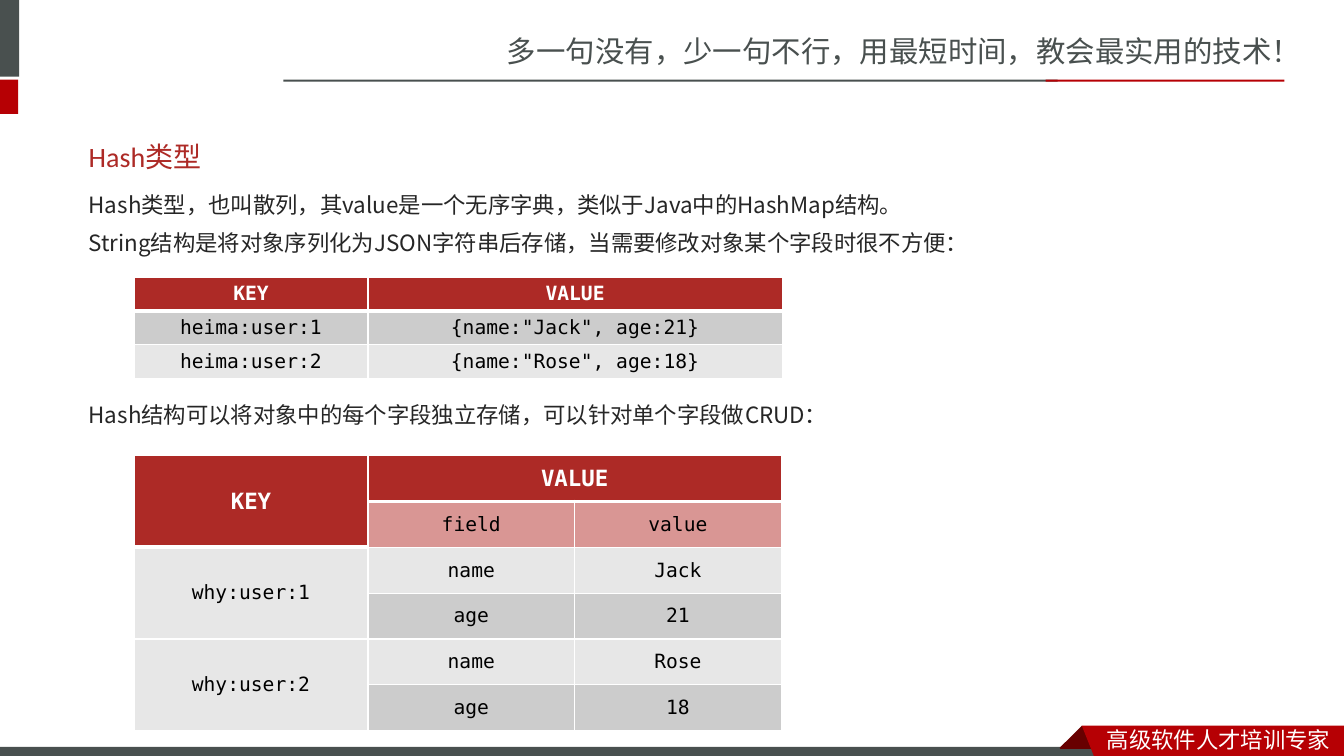
import pptx
import pptx.util
import pptx.dml.color
import pptx.enum.shapes
import pptx.enum.text
import pptx.oxml.ns
from lxml import etree

Inches, Pt = pptx.util.Inches, pptx.util.Pt
RGB = pptx.dml.color.RGBColor.from_string
qn = pptx.oxml.ns.qn
ANCHOR, ALIGN = pptx.enum.text.MSO_ANCHOR, pptx.enum.text.PP_ALIGN
AUTO_SIZE = pptx.enum.text.MSO_AUTO_SIZE

# Content
COLORS = {
    "slate": "49504F", "red": "B60004", "dark_red": "680000", "white": "FFFFFF",
    "brick": "AD2A26", "pink": "D99694", "silver": "CCCCCC", "pale": "E7E7E7",
    "ink": "262626", "black": "000000",
}
CJK_SC, CJK_JP, MONO = "Noto Sans CJK SC", "Noto Sans CJK JP", "DejaVu Sans Mono"

TITLE = "Hash类型"
BODY = [  # text, space before in points
    ("Hash类型，也叫散列，其value是一个无序字典，类似于Java中的HashMap结构。", 0),
    ("String结构是将对象序列化为JSON字符串后存储，当需要修改对象某个字段时很不方便：", 3.2),
    ("Hash结构可以将对象中的每个字段独立存储，可以针对单个字段做CRUD：", 99),
]
BARS = [  # left, top, width, height, colour
    (-0.06, 0, 0.25, 0.76, "slate"),
    (-0.06, 0.79, 0.24, 0.34, "red"),
    (2.81, 0.79, 7.68, 0.02, "slate"),
    (10.37, 0.79, 2.37, 0.02, "red"),
    (0, 7.41, 10.95, 0.09, "slate"),
]
RIBBON = [
    ("dark_red", [(10.73, 7.2), (10.95, 7.42), (10.94, 7.43), (10.52, 7.43), (10.51, 7.42)]),
    ("red", [(10.73, 7.2), (13.33, 7.2), (13.33, 7.5), (10.85, 7.5)]),
]
SLOGANS = [  # text, box, size, colour
    ("多一句没有，少一句不行，用最短时间，教会最实用的技术！", (4.93, 0.28, 8.41, 0.47), 21, "slate"),
    ("高级软件人才培训专家", (10.88, 7.15, 2.45, 0.37), 16, "white"),
]
TABLES = [
    {
        "top": 2.75, "height": 0.97, "columns": [2.32, 4.11], "header_size": 14, "merges": [],
        "rows": [
            (["KEY", "VALUE"], ["brick"] * 2),
            (["heima:user:1", '{name:"Jack", age:21}'], ["silver"] * 2),
            (["heima:user:2", '{name:"Rose", age:18}'], ["pale"] * 2),
        ],
    },
    {
        "top": 4.52, "height": 2.73, "columns": [2.32, 2.05, 2.05], "header_size": 16,
        "merges": [(0, 0, 1, 0), (0, 1, 0, 2), (2, 0, 3, 0), (4, 0, 5, 0)],
        "rows": [
            (["KEY", "VALUE", ""], ["brick"] * 3),
            (["", "field", "value"], ["brick", "pink", "pink"]),
            (["why:user:1", "name", "Jack"], ["pale"] * 3),
            (["", "age", "21"], ["pale", "silver", "silver"]),
            (["why:user:2", "name", "Rose"], ["pale"] * 3),
            (["", "age", "18"], ["pale", "silver", "silver"]),
        ],
    },
]


def style_font(font, size, color, latin, east_asian=None, bold=False):
    for name, value in {"size": Pt(size), "name": latin, "bold": bold}.items():
        setattr(font, name, value)
    font.color.rgb = RGB(COLORS[color])
    if east_asian:
        latin_tag = font._element.find(qn("a:latin"))
        ea_tag = etree.Element(qn("a:ea"), typeface=east_asian)
        latin_tag.addnext(ea_tag)


def place(part, box):
    for name, value in zip(("left", "top", "width", "height"), box):
        setattr(part, name, Inches(value))


def paint(shape, color):
    shape.shadow.inherit = False
    shape.fill.solid()
    shape.fill.fore_color.rgb = RGB(COLORS[color])
    shape.line.fill.background()


def add_borders(cell, top_width, bottom_width):
    properties = cell._tc.get_or_add_tcPr()
    for side, width in {"L": 1, "R": 1, "T": top_width, "B": bottom_width}.items():
        border = etree.SubElement(properties, qn("a:ln" + side), w=str(Pt(width)))
        fill = etree.SubElement(border, qn("a:solidFill"))
        etree.SubElement(fill, qn("a:srgbClr"), val=COLORS["white"])


def add_hash_table(slide, data):
    rows, columns = data["rows"], data["columns"]
    table = slide.shapes.add_table(
        len(rows), len(columns), Inches(1.33), Inches(data["top"]),
        Inches(sum(columns)), Inches(data["height"])).table
    table.first_row = table.horz_banding = False
    for column, width in zip(table.columns, columns):
        column.width = Inches(width)
    for r, (texts, fills) in enumerate(rows):
        for c, (text, fill) in enumerate(zip(texts, fills)):
            cell = table.cell(r, c)
            header = fill == "brick"
            under_header = r > 0 and rows[r - 1][1][c] == "brick"
            add_borders(cell, 3 if under_header else 1, 3 if header else 1)
            cell.fill.solid()
            cell.fill.fore_color.rgb = RGB(COLORS[fill])
            cell.vertical_anchor = ANCHOR.MIDDLE
            if text:
                paragraph = cell.text_frame.paragraphs[0]
                paragraph.alignment = ALIGN.CENTER
                label = paragraph.add_run()
                label.text = text
                style_font(label.font, data["header_size"] if header else 14,
                           "white" if header else "black", MONO, bold=header)
    for first_row, first_col, last_row, last_col in data["merges"]:
        table.cell(first_row, first_col).merge(table.cell(last_row, last_col))


def main():
    deck = pptx.Presentation()
    deck.slide_width, deck.slide_height = Inches(13.33), Inches(7.5)
    slide = deck.slides.add_slide(deck.slide_layouts[1])

    # Page frame
    for left, top, width, height, color in BARS:
        bar = slide.shapes.add_shape(
            pptx.enum.shapes.MSO_SHAPE.RECTANGLE,
            Inches(left), Inches(top), Inches(width), Inches(height))
        paint(bar, color)
    for color, points in RIBBON:
        corners = [(Inches(x), Inches(y)) for x, y in points]
        builder = slide.shapes.build_freeform(*corners[0], scale=1)
        builder.add_line_segments(corners[1:], close=True)
        paint(builder.convert_to_shape(), color)
    for text, box, size, color in SLOGANS:
        slogan = slide.shapes.add_textbox(*(Inches(value) for value in box))
        slogan.text_frame.word_wrap = True
        slogan.text_frame.auto_size = AUTO_SIZE.SHAPE_TO_FIT_TEXT
        run = slogan.text_frame.paragraphs[0].add_run()
        run.text = text
        style_font(run.font, size, color, CJK_SC, CJK_SC)

    # Title
    title = slide.shapes.title
    place(title, (0.78, 1.16, 11.7, 0.44))
    title.text_frame.auto_size = AUTO_SIZE.NONE
    title.text_frame.vertical_anchor = ANCHOR.MIDDLE
    heading = title.text_frame.paragraphs[0]
    heading.alignment = ALIGN.LEFT
    heading.line_spacing = 2.0
    run = heading.add_run()
    run.text = TITLE
    style_font(run.font, 20, "brick", "Calibri", CJK_SC)

    # Explanations
    body = slide.placeholders[1]
    place(body, (0.78, 1.78, 11.7, 4.22))
    frame = body.text_frame
    frame.auto_size = AUTO_SIZE.NONE
    for i, (text, gap) in enumerate(BODY):
        paragraph = frame.add_paragraph() if i else frame.paragraphs[0]
        properties = paragraph._p.get_or_add_pPr()
        properties.set("marL", "0")
        properties.set("indent", "0")
        etree.SubElement(properties, qn("a:buNone"))
        paragraph.line_spacing = 1.25
        paragraph.space_before = Pt(gap)
        run = paragraph.add_run()
        run.text = text
        style_font(run.font, 16, "ink", CJK_JP, CJK_JP)

    # Key and value tables
    for data in TABLES:
        add_hash_table(slide, data)

    deck.save("out.pptx")


if __name__ == "__main__":
    main()
